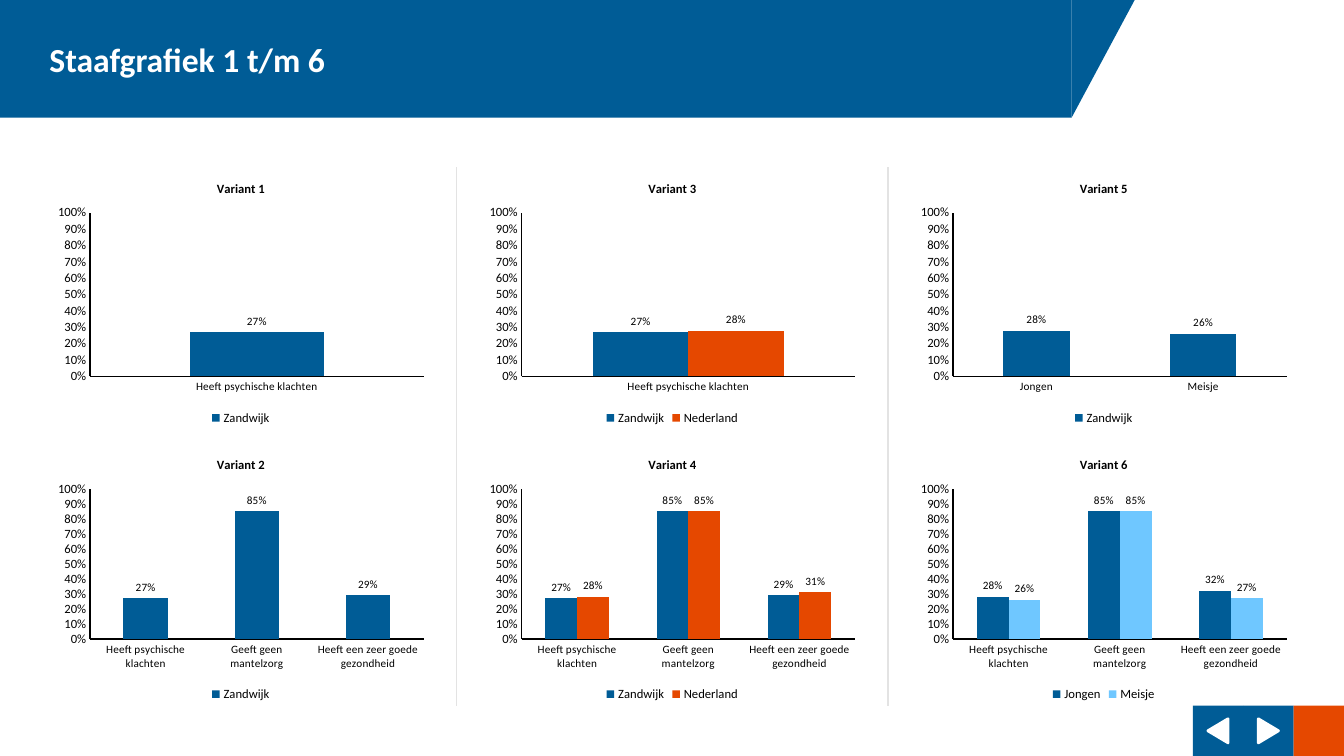
from dataclasses import dataclass
from typing import Any

from lxml.etree import SubElement
from pptx import Presentation
from pptx.chart.data import CategoryChartData as ChartData
from pptx.dml.color import RGBColor
from pptx.enum.chart import XL_CHART_TYPE as ChartType
from pptx.enum.chart import XL_LABEL_POSITION as LabelPosition
from pptx.enum.chart import XL_LEGEND_POSITION as LegendPosition
from pptx.enum.chart import XL_TICK_MARK as TickMark
from pptx.enum.shapes import MSO_CONNECTOR as Connector
from pptx.enum.shapes import MSO_SHAPE as Shape
from pptx.enum.text import MSO_ANCHOR as Anchor
from pptx.enum.text import PP_ALIGN as Align
from pptx.oxml.ns import qn
from pptx.util import Pt

COLOURS = {
    "blue": "005C96", "orange": "E54800", "sky": "6FC7FF",
    "white": "FFFFFF", "black": "000000", "grey": "E3E3E3",
}
FONT = "Calibri"
PAGE_WIDTH, PAGE_HEIGHT = 960, 540
BANNER_WIDTH, BANNER_HEIGHT, SLANT_WIDTH = 765.5, 84, 45
CHART_LEFT, CHART_TOP = 36, 119.5
CHART_WIDTH, CHART_HEIGHT = 272, 187.2
COLUMN_STEP, ROW_STEP = 308.2, 197.3
BUTTON_SIZE = 36


@dataclass
class Series:
    name: str
    values: list[float]
    colour: str = "blue"


@dataclass
class Variant:
    title: str
    categories: list[str]
    series: list[Series]


@dataclass
class Button:
    colour: str
    rotation: int | None = None


PSYCHIC = "Heeft psychische klachten"
TOPICS = [PSYCHIC, "Geeft geen mantelzorg", "Heeft een zeer goede gezondheid"]

# Listed down each column, then across
VARIANTS = [
    Variant("Variant 1", [PSYCHIC], [Series("Zandwijk", [0.27])]),
    Variant("Variant 2", TOPICS, [Series("Zandwijk", [0.27, 0.85, 0.29])]),
    Variant("Variant 3", [PSYCHIC], [
        Series("Zandwijk", [0.27]), Series("Nederland", [0.28], "orange")]),
    Variant("Variant 4", TOPICS, [
        Series("Zandwijk", [0.27, 0.85, 0.29]),
        Series("Nederland", [0.28, 0.85, 0.31], "orange")]),
    Variant("Variant 5", ["Jongen", "Meisje"], [Series("Zandwijk", [0.28, 0.26])]),
    Variant("Variant 6", TOPICS, [
        Series("Jongen", [0.28, 0.85, 0.32]),
        Series("Meisje", [0.26, 0.85, 0.27], "sky")]),
]
BUTTONS = [Button("blue", 270), Button("blue", 90), Button("orange")]


def colour_of(name: str) -> RGBColor:
    return RGBColor.from_string(COLOURS[name])


def set_all(target: Any, values: dict[str, Any]) -> None:
    for name, value in values.items():
        setattr(target, name, value)


def format_font(font: Any, size: float, colour: str = "black", bold: bool = False) -> None:
    set_all(font, {"name": FONT, "size": Pt(size), "bold": bold})
    font.color.rgb = colour_of(colour)


def fill_with(target: Any, colour: str) -> None:
    target.fill.solid()
    target.fill.fore_color.rgb = colour_of(colour)


def draw_line(line: Any, colour: str, width: float) -> None:
    line.color.rgb = colour_of(colour)
    line.width = Pt(width)


def add_box(page: Any, kind: Any, left: float, top: float, width: float,
            height: float, colour: str) -> Any:
    box = page.shapes.add_shape(kind, Pt(left), Pt(top), Pt(width), Pt(height))
    box.shadow.inherit = False
    fill_with(box, colour)
    box.line.fill.background()
    return box


def add_banner(page: Any, text: str) -> None:
    slant = add_box(page, Shape.RIGHT_TRIANGLE, BANNER_WIDTH, 0,
                    SLANT_WIDTH, BANNER_HEIGHT, "blue")
    slant.rotation = 180
    slant._element.spPr.xfrm.set("flipH", "1")

    title = page.shapes.title
    set_all(title, {"left": 0, "top": 0, "width": Pt(BANNER_WIDTH),
                    "height": Pt(BANNER_HEIGHT)})
    fill_with(title, "blue")
    frame = title.text_frame
    set_all(frame, {"margin_left": Pt(35.3), "vertical_anchor": Anchor.MIDDLE,
                    "word_wrap": True})
    para = frame.paragraphs[0]
    para.alignment = Align.LEFT
    span = para.add_run()
    span.text = text
    format_font(span.font, 24, "white", True)


def add_divider(page: Any, x: float) -> None:
    divider = page.shapes.add_connector(
        Connector.STRAIGHT, Pt(x), Pt(CHART_TOP), Pt(x), Pt(504))
    draw_line(divider.line, "grey", 1)
    SubElement(divider._element.spPr, qn("a:effectLst"))


def add_button(page: Any, button: Button, left: float) -> None:
    top = PAGE_HEIGHT - BUTTON_SIZE
    add_box(page, Shape.RECTANGLE, left, top, BUTTON_SIZE, BUTTON_SIZE, button.colour)
    if button.rotation is None:
        return
    arrow = add_box(page, Shape.ISOSCELES_TRIANGLE, left + 9.4, top + 10.8,
                    17.2, 14.4, "white")
    arrow.rotation = button.rotation
    draw_line(arrow.line, "white", 2)
    SubElement(arrow.line._get_or_add_ln(), qn("a:round"))


def add_variant(page: Any, variant: Variant, left: float, top: float) -> None:
    data = ChartData(number_format="0%")
    data.categories = variant.categories
    for series in variant.series:
        data.add_series(series.name, series.values)
    chart = page.shapes.add_chart(
        ChartType.COLUMN_CLUSTERED, Pt(left), Pt(top),
        Pt(CHART_WIDTH), Pt(CHART_HEIGHT), data).chart
    format_font(chart.font, 18)

    # Title and legend
    span = chart.chart_title.text_frame.paragraphs[0].add_run()
    span.text = variant.title
    format_font(span.font, 9, bold=True)
    chart.chart_title.include_in_layout = False
    chart.has_legend = True
    set_all(chart.legend, {"position": LegendPosition.BOTTOM, "include_in_layout": False})
    format_font(chart.legend.font, 9)

    # Axes
    for axis, size in ((chart.category_axis, 8), (chart.value_axis, 9)):
        set_all(axis, {"major_tick_mark": TickMark.NONE, "minor_tick_mark": TickMark.NONE,
                       "has_major_gridlines": False})
        format_font(axis.tick_labels.font, size)
        draw_line(axis.format.line, "black", 1)
    set_all(chart.value_axis, {"minimum_scale": 0, "maximum_scale": 1, "major_unit": 0.1})
    set_all(chart.value_axis.tick_labels,
            {"number_format": "0%", "number_format_is_linked": False})

    # Columns and their labels
    plot = chart.plots[0]
    set_all(plot, {"gap_width": 150, "overlap": 0, "vary_by_categories": False})
    for columns, series in zip(plot.series, variant.series):
        fill_with(columns.format, series.colour)
        labels = columns.data_labels
        set_all(labels, {"show_value": True, "position": LabelPosition.OUTSIDE_END,
                         "number_format": "0%", "number_format_is_linked": False})
        format_font(labels.font, 8)


def main() -> None:
    deck = Presentation()
    set_all(deck, {"slide_width": Pt(PAGE_WIDTH), "slide_height": Pt(PAGE_HEIGHT)})
    page = deck.slides.add_slide(deck.slide_layouts.get_by_name("Title Only"))

    add_banner(page, "Staafgrafiek 1 t/m 6")
    for column in (1, 2):
        add_divider(page, CHART_LEFT + column * COLUMN_STEP - 18)
    for index, button in enumerate(BUTTONS):
        add_button(page, button, PAGE_WIDTH - (len(BUTTONS) - index) * BUTTON_SIZE)
    for index, variant in enumerate(VARIANTS):
        column, row = divmod(index, 2)
        add_variant(page, variant, CHART_LEFT + column * COLUMN_STEP,
                    CHART_TOP + row * ROW_STEP)
    deck.save("out.pptx")


if __name__ == "__main__":
    main()
